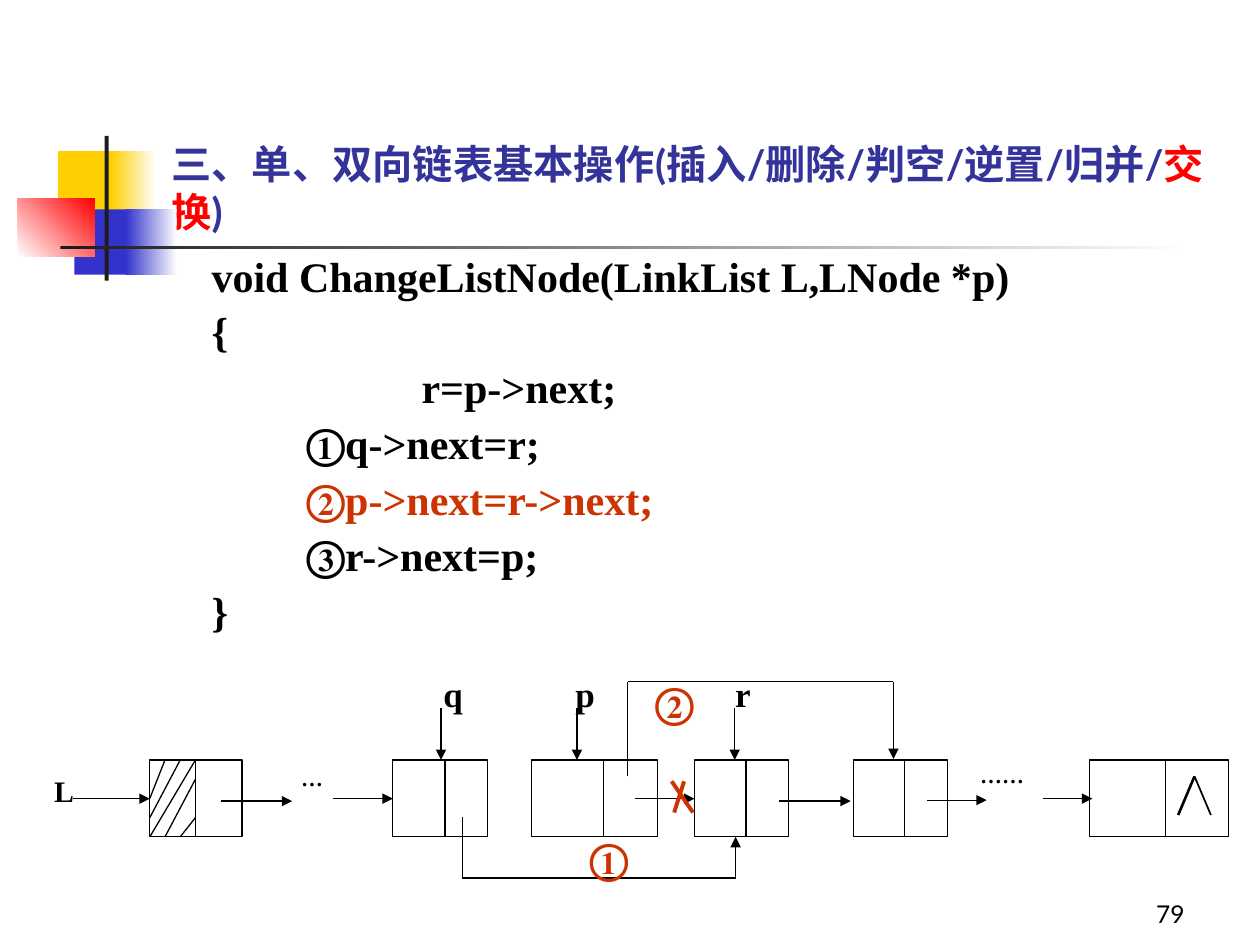
from pptx import Presentation
from pptx.dml.color import RGBColor
from pptx.enum.shapes import MSO_CONNECTOR as Connector, MSO_SHAPE as Preset
from pptx.enum.text import MSO_ANCHOR as Anchor, MSO_AUTO_SIZE as AutoSize, PP_ALIGN as Align
from pptx.oxml.ns import qn
from pptx.util import Cm, Pt
from lxml.etree import SubElement

BLACK, WHITE, RUST, NAVY = "000000", "FFFFFF", "CC3300", "333399"
SERIF, SANS = "Times New Roman", "Lato"
ROW_TOP, ROW_HEIGHT = 15.32, 1.55
ROW_BOTTOM = ROW_TOP + ROW_HEIGHT

DECORATION = [
    (1.17, 3.05, 1.22, 1.32, ["FFCF01"], 0),
    (2.24, 3.05, 0.91, 1.32, ["FFCF01", WHITE], 0),
    (1.5, 4.22, 1.17, 1.32, ["3333CC"], 0),
    (2.54, 4.22, 1.02, 1.32, ["3333CC", WHITE], 0),
    (0.36, 4.01, 1.55, 1.17, [WHITE, "FF0000"], 45),
    (2.11, 2.74, 0.08, 2.92, ["1C1C1C"], 0),
    (1.22, 4.95, 22.86, 0.08, ["1C1C1C", WHITE], 0),
]
TITLE = [("三、单、双向链表基本操作(插入/删除/判空/逆置/归并/", NAVY), ("交换", "FF0000"), (")", NAVY)]
CODE = [
    ("void ChangeListNode(LinkList L,LNode *p)", BLACK),
    ("{", BLACK),
    ("\u3000\u3000\u3000\u3000\u3000r=p->next;", BLACK),
    ("\t   ①q->next=r;", BLACK),
    ("\t   ②p->next=r->next;", RUST),
    ("\t   ③r->next=p;", BLACK),
    ("}", BLACK),
]
NODES = [
    (3.02, 3.94, 4.88), (7.92, 8.97, 9.83), (10.72, 12.17, 13.26),
    (14, 15.04, 15.9), (17.2, 18.24, 19.1), (21.97, 23.5, 24.77),
]
LINKS = [
    (1.47, 3.02, 16.1), (4.45, 5.89, 16.15), (6.71, 7.92, 16.1), (12.8, 14, 16.1),
    (15.7, 17.15, 16.15), (18.69, 19.89, 16.13), (21.03, 22.02, 16.1),
]
POINTERS = [8.89, 11.63, 14.81]
HATCHING = [(3, 0, 0, 4), (1, 0, 0, 2), (2, 0, 0, 3), (3, 1, 1, 4), (3, 3, 2, 4)]
CROSS = [(13.79, 15.75, 13.59, 16.38), (13.54, 15.75, 13.97, 16.38)]
REROUTES = [
    [(9.32, 16.46), (9.32, 17.7), (14.83, 17.7), (14.83, ROW_BOTTOM)],
    [(12.65, 15.65), (12.65, 13.74), (18.01, 13.74), (18.01, 15.3)],
]


def color(value):
    """Turn a hex string into a colour."""
    return RGBColor.from_string(value)


def place(shape, left, top, width, height):
    """Move and size a shape, in centimetres."""
    shape.left, shape.top = Cm(left), Cm(top)
    shape.width, shape.height = Cm(width), Cm(height)


def style(span, size, ink, font=SERIF, bold=True):
    """Format one run."""
    span.font.size, span.font.name, span.font.bold = Pt(size), font, bold
    span.font.color.rgb = color(ink)


def add_tabs(para, stops):
    """Give a paragraph left tab stops, in centimetres."""
    tabs = SubElement(para._p.get_or_add_pPr(), qn("a:tabLst"))
    for stop in stops:
        SubElement(tabs, qn("a:tab"), pos=str(Cm(stop)), algn="l")


def add_rect(page, left, top, width, height, fills, angle=0):
    """Add a rectangle with a plain or two-colour gradient fill."""
    box = page.shapes.add_shape(Preset.RECTANGLE, Cm(left), Cm(top), Cm(width), Cm(height))
    box.shadow.inherit = False
    box.line.fill.background()
    if len(fills) == 1:
        box.fill.solid()
        box.fill.fore_color.rgb = color(fills[0])
    else:
        box.fill.gradient()
        box.fill.gradient_angle = angle
        for stop, value, position in zip(box.fill.gradient_stops, fills, (0, 1)):
            stop.color.rgb, stop.position = color(value), position
    return box


def add_line(page, x1, y1, x2, y2, width=0.75, ink=BLACK, arrow=False):
    """Add a straight line, with an arrowhead at its end if asked."""
    line = page.shapes.add_connector(Connector.STRAIGHT, Cm(x1), Cm(y1), Cm(x2), Cm(y2))
    line.line.width = Pt(width)
    line.line.color.rgb = color(ink)
    if arrow:
        SubElement(line.line._get_or_add_ln(), qn("a:tailEnd"), type="triangle")
    SubElement(line._element.spPr, qn("a:effectLst"))


def add_node(page, left, divider, right):
    """Add a list node with its data and pointer cells."""
    box = add_rect(page, left, ROW_TOP, right - left, ROW_HEIGHT, [WHITE])
    box.line.width = Pt(0.75)
    box.line.color.rgb = color(BLACK)
    add_line(page, divider, ROW_TOP, divider, ROW_BOTTOM)


def add_label(page, text, left, top, width, height, size, ink=BLACK, font=SERIF,
              bold=True, align=Align.LEFT, spacing=1.0, wrap=True, stops=()):
    """Add a one-line text box."""
    box = page.shapes.add_textbox(Cm(left), Cm(top), Cm(width), Cm(height))
    box.text_frame.word_wrap = wrap
    para = box.text_frame.paragraphs[0]
    para.text = text
    if stops:
        add_tabs(para, stops)
    para.alignment, para.line_spacing = align, spacing
    style(para.runs[0], size, ink, font, bold)
    return box


def fill_title(title):
    """Place the title and colour its spans."""
    place(title, 3.2, 1.7, 21.64, 3.18)
    frame = title.text_frame
    frame.auto_size, frame.vertical_anchor, frame.word_wrap = AutoSize.NONE, Anchor.BOTTOM, True
    para = frame.paragraphs[0]
    para.alignment = Align.LEFT
    for text, ink in TITLE:
        span = para.add_run()
        span.text = text
        style(span, 23, ink, SANS)


def fill_code(body):
    """Write the code listing into the body placeholder."""
    place(body, 4.01, 5.03, 17.6, 8.71)
    frame = body.text_frame
    frame.auto_size, frame.vertical_anchor, frame.word_wrap = AutoSize.NONE, Anchor.TOP, True
    frame.text = "\n".join(text for text, ink in CODE)
    for index, (para, (text, ink)) in enumerate(zip(frame.paragraphs, CODE)):
        props = para._p.get_or_add_pPr()
        props.set("marL", "0")
        props.set("indent", "0")
        SubElement(props, qn("a:buNone"))
        add_tabs(para, [2.54])
        para.line_spacing, para.space_before = 0.9, Pt(6 if index else 0)
        style(para.runs[0], 24, ink)


def draw_list(page):
    """Draw the linked list with its pointers and changed links."""
    for node in NODES:
        add_node(page, *node)
    left, divider, _ = NODES[0]
    column, row = (divider - left) / 3, ROW_HEIGHT / 4
    for x1, y1, x2, y2 in HATCHING:
        add_line(page, left + x1 * column, ROW_TOP + y1 * row,
                 left + x2 * column, ROW_TOP + y2 * row)
    for start, end, height in LINKS:
        add_line(page, start, height, end, height, arrow=True)
    for x in POINTERS:
        add_line(page, x, 14.27, x, ROW_TOP, arrow=True)
    add_line(page, 23.75, 16.43, 24.08, 15.65, 1.5)
    add_line(page, 24.08, 15.65, 24.41, 16.43, 1)
    for start, corner, turn, end in REROUTES:
        add_line(page, *start, *corner, 0.25)
        add_line(page, *corner, *turn)
        add_line(page, *turn, *end, arrow=True)
    for stroke in CROSS:
        add_line(page, *stroke, 2.25, RUST)


def add_labels(page):
    """Name the pointers, steps, gaps and page number."""
    add_label(page, "……", 19.51, 15.34, 2.08, 0.84, 12.5, align=Align.JUSTIFY, spacing=0.8)
    add_label(page, "…", 5.82, 15.39, 1.22, 0.84, 12.5, align=Align.JUSTIFY, spacing=0.8)
    add_label(page, "L", 0.84, 15.54, 1.07, 1.07, 17, align=Align.JUSTIFY, spacing=0.9)
    add_label(page, "q\tp\tr", 8.69, 13.44, 9.73, 1.12, 20, stops=(2.66, 5.88))
    add_label(page, "①", 11.63, 16.66, 1.3, 1.27, 24, RUST, wrap=False)
    add_label(page, "②", 12.95, 13.51, 1.3, 1.27, 24, RUST, wrap=False)
    number = add_label(page, "79", 18.85, 17.58, 5.28, 1.27, 14, font=SANS,
                       bold=False, align=Align.RIGHT)
    number.text_frame.vertical_anchor = Anchor.BOTTOM


def main():
    """Build the slide and save it."""
    deck = Presentation()
    deck.slide_width, deck.slide_height = Cm(25.4), Cm(19.05)
    page = deck.slides.add_slide(deck.slide_layouts[1])
    for part in DECORATION:
        add_rect(page, *part)
    fill_title(page.shapes.title)
    draw_list(page)
    add_labels(page)
    fill_code(page.placeholders[1])
    deck.save("out.pptx")


if __name__ == "__main__":
    main()
